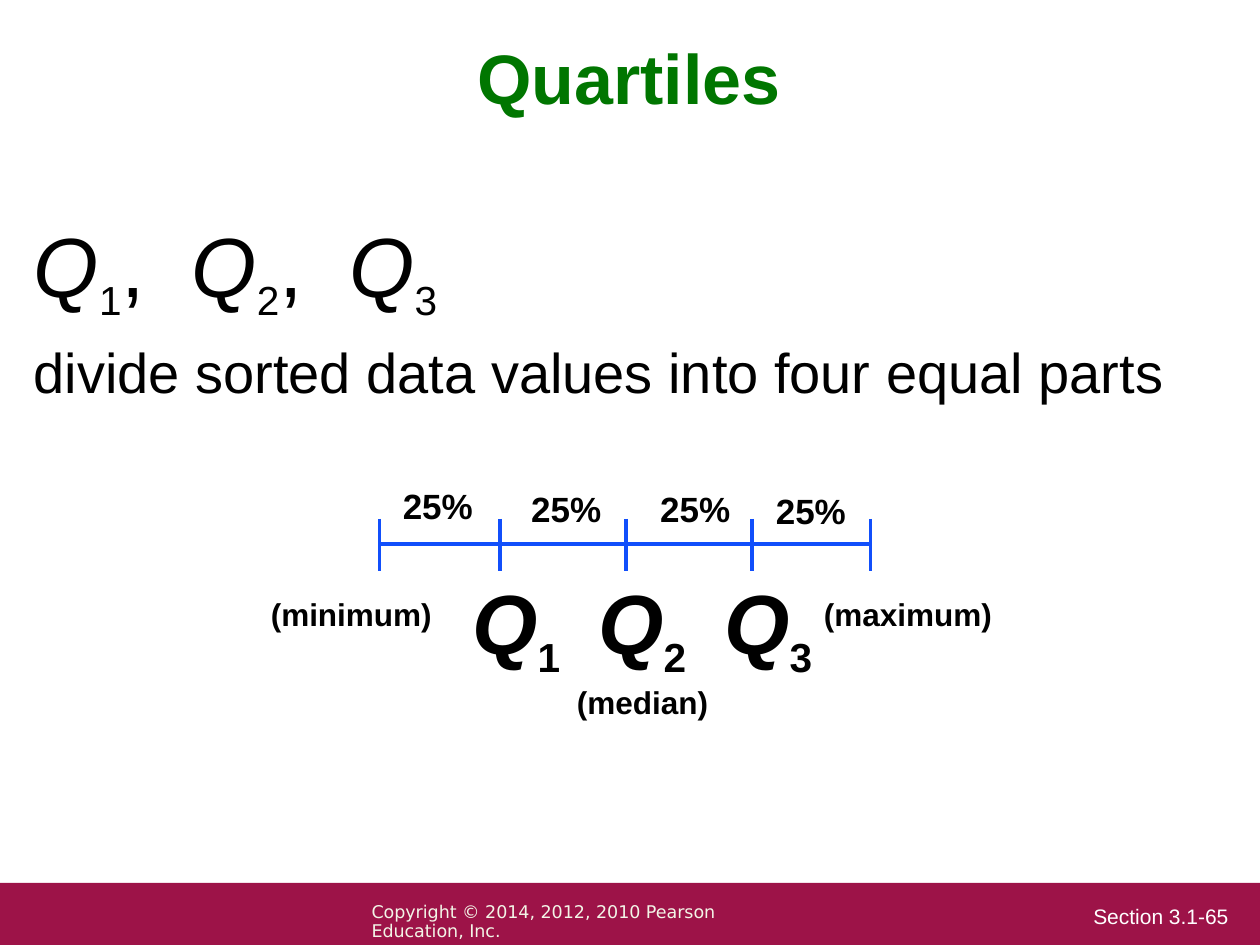
import pptx
import pptx.util
import pptx.dml.color
import pptx.enum.shapes
import pptx.enum.text
from lxml import etree
from pptx.util import Cm, Pt

NS = "http://schemas.openxmlformats.org/drawingml/2006/main"
INK, BLUE, GREEN, WINE = "000000", "114FFB", "007600", "9D1348"


def color(code):
    return pptx.dml.color.RGBColor.from_string(code)


class Deck:
    """Hold the style and the current slide, and draw elements on it."""

    font = "Arial"

    def __init__(self):
        self.file = pptx.Presentation()
        self.file.slide_width = Cm(25.4)
        self.file.slide_height = Cm(19.05)
        self.slide = self.file.slides.add_slide(self.file.slide_layouts[5])

    def run(self, para, text, size, code=INK, bold=False, slant=False,
            base=0, font=None):
        run = para.add_run()
        run.text = text
        face = run.font
        face.name, face.size = font or self.font, Pt(size)
        face.bold, face.italic = bold, slant
        face.color.rgb = color(code)
        if base:
            face._element.set("baseline", str(base * 1000))

    def symbol(self, para, index, bold=False):
        self.run(para, "Q", 48, bold=bold, slant=True)
        self.run(para, index, 40, bold=bold, base=-25)

    def title(self, text, *area):
        shape = self.slide.shapes.title
        shape.left, shape.top, shape.width, shape.height = map(Cm, area)
        frame = shape.text_frame
        frame.word_wrap = True
        frame.vertical_anchor = pptx.enum.text.MSO_ANCHOR.MIDDLE
        para = frame.paragraphs[0]
        para.alignment = pptx.enum.text.PP_ALIGN.CENTER
        self.run(para, text, 40, GREEN, bold=True)

    def box(self, *area, wrap=False):
        frame = self.slide.shapes.add_textbox(*map(Cm, area)).text_frame
        frame.word_wrap = wrap
        return frame

    def label(self, text, area, size, lead=1.0, wrap=False, **style):
        para = self.box(*area, wrap=wrap).paragraphs[0]
        para.line_spacing = lead
        self.run(para, text, size, **style)

    def tabs(self, para, stops):
        props = para._p.get_or_add_pPr()
        group = etree.SubElement(props, f"{{{NS}}}tabLst")
        for stop in stops:
            etree.SubElement(group, f"{{{NS}}}tab", pos=str(Cm(stop)), algn="l")

    def band(self, *area):
        kind = pptx.enum.shapes.MSO_SHAPE.RECTANGLE
        shape = self.slide.shapes.add_shape(kind, *map(Cm, area))
        shape.shadow.inherit = False
        shape.fill.solid()
        shape.fill.fore_color.rgb = color(WINE)
        shape.line.fill.background()

    def line(self, *ends):
        kind = pptx.enum.shapes.MSO_CONNECTOR.STRAIGHT
        line = self.slide.shapes.add_connector(kind, *map(Cm, ends))
        line.line.color.rgb = color(BLUE)
        line.line.width = Pt(2)
        etree.SubElement(line._element.spPr, f"{{{NS}}}effectLst")


def main():
    deck = Deck()
    deck.band(0, 17.8, 25.4, 1.25)
    deck.label("Section 3.1-65", (21.79, 18.14, 3.56, 0.66), 12, 0.9,
               wrap=True, code="FFFFFF")
    deck.label("Copyright © 2014, 2012, 2010 Pearson Education, Inc.",
               (7.24, 18.08, 9.35, 0.64), 10, 0.9, wrap=True,
               code="F3F5E7", font="DejaVu Sans")
    deck.title("Quartiles", 1.88, 0.33, 21.59, 2.41)

    body = deck.box(0.43, 4.19, 24.77, 11.43, wrap=True)
    para = body.paragraphs[0]
    deck.tabs(para, (3.18, 6.36))
    for index in "123":
        deck.symbol(para, index)
        if index != "3":
            deck.run(para, ",\t", 48)
    para = body.add_paragraph()
    para.space_before = Pt(8)
    deck.run(para, "divide sorted data values into four equal parts", 32)

    ticks = (7.65, 10.08, 12.62, 15.16, 17.55)
    deck.line(ticks[0], 10.97, ticks[-1], 10.97)
    for left in ticks:
        deck.line(left, 10.46, left, 11.51)
    for left, top in ((7.87, 9.65), (10.46, 9.7), (13.06, 9.7), (15.39, 9.75)):
        deck.label("25%", (left, top, 1.93, 1.09), 20, bold=True)
    for index, left in zip("123", ticks[1:4]):
        frame = deck.box(left - 0.81, 11.38, 2.29, 2.46)
        deck.symbol(frame.paragraphs[0], index, bold=True)
    for text, left, top, wide in (("(minimum)", 5.21, 11.96, 3.76),
                                  ("(maximum)", 16.36, 11.96, 3.89),
                                  ("(median)", 11.38, 13.74, 3.15)):
        deck.label(text, (left, top, wide, 0.94), 18, 0.9, bold=True)
    deck.file.save("out.pptx")


if __name__ == "__main__":
    main()
